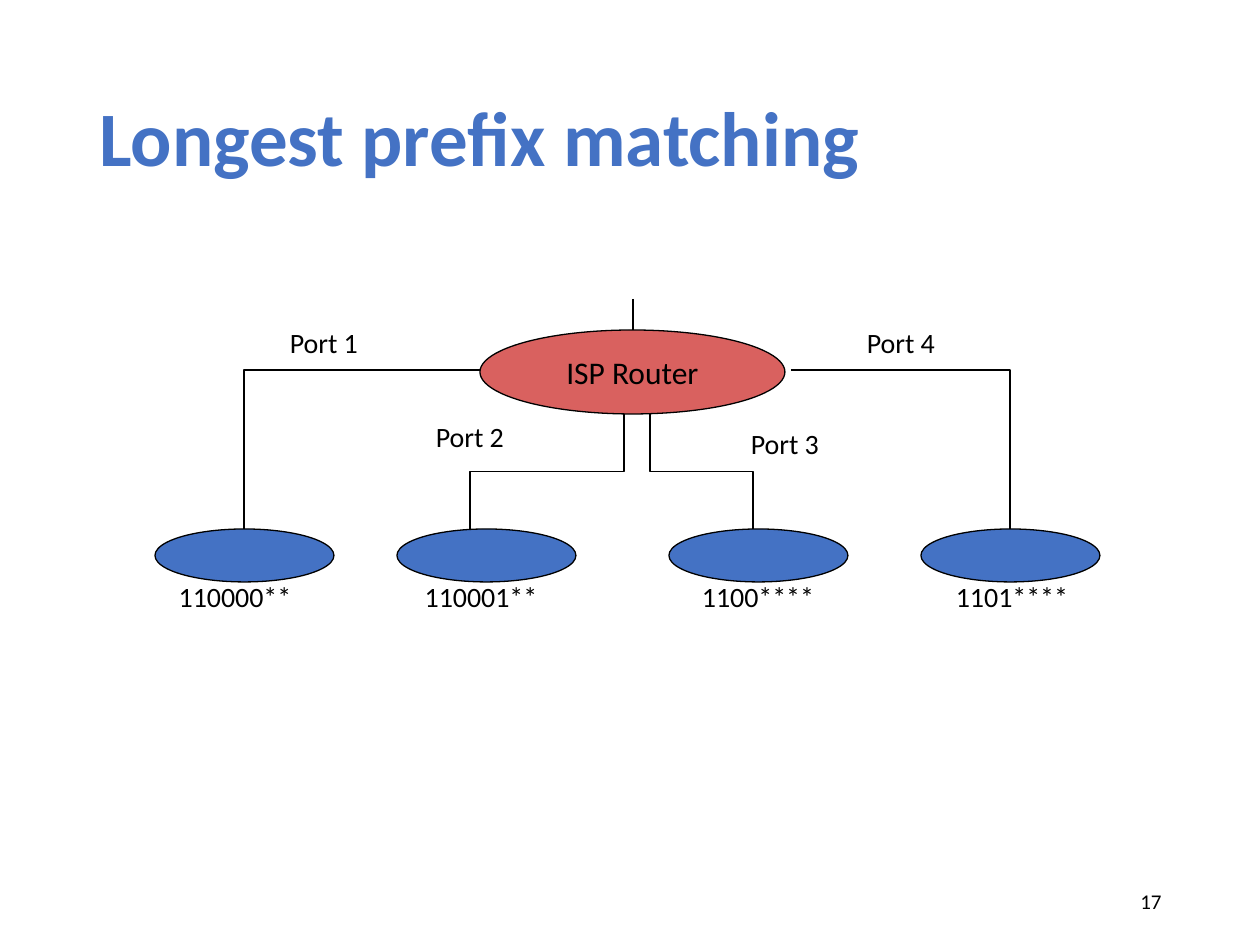
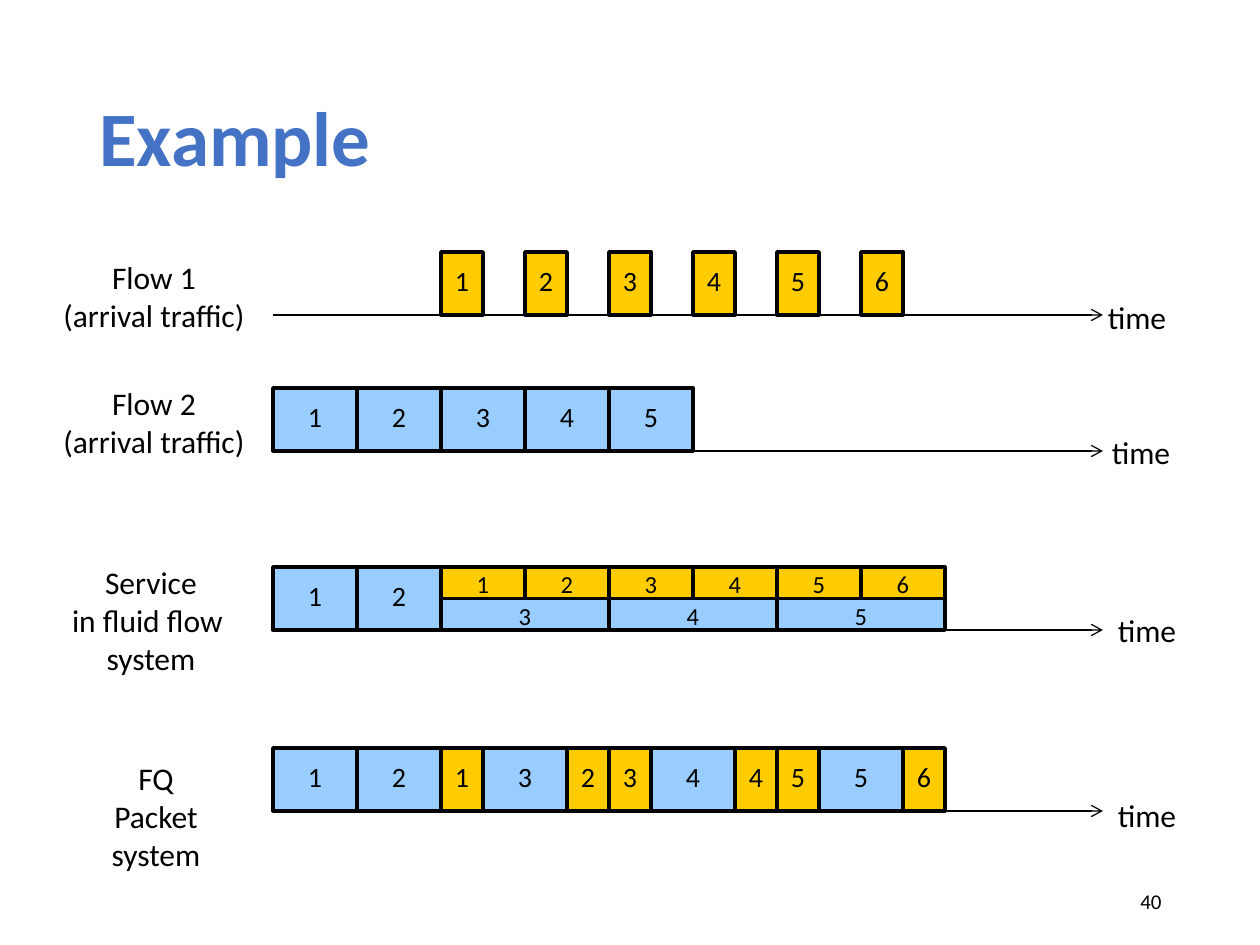
from pptx import Presentation
from pptx.dml.color import RGBColor
from pptx.enum.shapes import MSO_CONNECTOR, MSO_SHAPE
from pptx.enum.text import MSO_ANCHOR, PP_ALIGN
from pptx.oxml.ns import qn
from pptx.util import Pt
from lxml.etree import SubElement

SCALE = 914400 // 126
FONT = "Calibri"
COLORS = {
    "title": "4472C4",
    "ink": "000000",
    "host": "4472C4",
    "router": "D9615F",
    "flow1": "FFCC00",
    "flow2": "99CCFF",
}
SLOT = 42
PACKET_HEIGHT = 63


def px(*lengths):
    return [round(length * SCALE) for length in lengths]


def color(name):
    return RGBColor.from_string(COLORS[name])


def write(slide, text, box, size=16, ink="ink", bold=False, align=PP_ALIGN.CENTER,
          anchor=MSO_ANCHOR.TOP, spacing=None, wrap=True):
    frame = slide.shapes.add_textbox(*px(*box)).text_frame
    frame.word_wrap = wrap
    frame.vertical_anchor = anchor
    frame.text = text
    for paragraph in frame.paragraphs:
        paragraph.alignment = align
        paragraph.line_spacing = spacing
        for run in paragraph.runs:
            run.font.name = FONT
            run.font.size = Pt(size)
            run.font.bold = bold
            run.font.color.rgb = color(ink)


def draw(slide, kind, box, fill, weight):
    outline = slide.shapes.add_shape(kind, *px(*box))
    outline.shadow.inherit = False
    outline.fill.solid()
    outline.fill.fore_color.rgb = color(fill)
    outline.line.color.rgb = color("ink")
    outline.line.width = Pt(weight)


def connect(slide, start, end, kind=MSO_CONNECTOR.STRAIGHT, arrow=False):
    link = slide.shapes.add_connector(kind, *px(*start, *end))
    link.line.color.rgb = color("ink")
    link.line.width = Pt(0.75)
    properties = link._element.spPr
    if arrow:
        SubElement(properties.find(qn("a:ln")), qn("a:tailEnd"), type="arrow")
    SubElement(properties, qn("a:effectLst"))
    return properties


def side_link(slide, start, end):
    properties = connect(slide, start, end, MSO_CONNECTOR.ELBOW)
    properties.find(qn("a:prstGeom")).set("prst", "bentConnector2")


def down_link(slide, start, end):
    (x1, y1), (x2, y2) = start, end
    middle_x, middle_y = (x1 + x2) / 2, (y1 + y2) / 2
    half_run, half_drop = abs(x2 - x1) / 2, (y2 - y1) / 2
    rightward = x2 > x1
    if rightward:
        half_drop = -half_drop
    properties = connect(slide, (middle_x - half_drop, middle_y - half_run),
                         (middle_x + half_drop, middle_y + half_run), MSO_CONNECTOR.ELBOW)
    properties.find(qn("a:xfrm")).set("rot", str((270 if rightward else 90) * 60000))


def base_slide(deck, title, number):
    slide = deck.slides.add_slide(deck.slide_layouts[6])
    write(slide, title, (87, 50, 1086, 183), size=44, ink="title", bold=True,
          align=PP_ALIGN.LEFT, anchor=MSO_ANCHOR.MIDDLE, spacing=0.9)
    write(slide, number, (890, 876, 284, 50), size=12, align=PP_ALIGN.RIGHT,
          anchor=MSO_ANCHOR.MIDDLE)
    return slide


def router_tree(slide, left, top):
    hosts = [
        ("110000**", 29, 0),
        ("110001**", 271, 246),
        ("1100****", 543, 523),
        ("1101****", 795, 777),
    ]
    for prefix, host_x, prefix_x in hosts:
        draw(slide, MSO_SHAPE.OVAL, (left + host_x, top + 230, 179, 53), "host", 0.75)
        write(slide, prefix, (left + prefix_x, top + 274, 218, 47))

    links = [
        (side_link, (362, 71), 118),
        (down_link, (498, 115), 344),
        (down_link, (524, 115), 627),
        (side_link, (665, 71), 884),
    ]
    for link, (x, y), host_x in links:
        link(slide, (left + x, top + y), (left + host_x, top + 230))

    router = (left + 354, top + 31, 305, 84)
    draw(slide, MSO_SHAPE.OVAL, router, "router", 0.75)
    write(slide, "ISP Router", router, size=18, anchor=MSO_ANCHOR.MIDDLE)
    connect(slide, (left + 507, top), (left + 507, top + 31))

    ports = [(140, 20), (286, 114), (601, 121), (717, 20)]
    for port, (x, y) in enumerate(ports, 1):
        write(slide, f"Port {port}", (left + x, top + y, 116, 47))


def packets(slide, left, top, flow, slots, length, first=1, lane=None):
    thin = lane is not None
    height = PACKET_HEIGHT / 2 if thin else PACKET_HEIGHT
    y = top + (lane or 0) * height
    for number, slot in enumerate(slots, first):
        x, width = left + slot * SLOT, length * SLOT
        draw(slide, MSO_SHAPE.RECTANGLE, (x, y, width, height), flow, 2)
        write(slide, str(number), (x + width / 2 - 20, y - 4 if thin else y + 5, 40, 47),
              size=14 if thin else 16, wrap=False)


def timeline(slide, left, top, label, label_center, label_y, time_x, time_y, runs):
    baseline = top + PACKET_HEIGHT
    connect(slide, (left, baseline), (left + 830, baseline), arrow=True)
    for run in runs:
        packets(slide, left, top, **run)
    write(slide, label, (label_center - 120, top + label_y, 240, 97), size=18, wrap=False)
    write(slide, "time", (left + time_x, top + time_y, 92, 54), size=18, wrap=False)


def schedule(slide, left, top):
    opening = dict(flow="flow2", slots=(0, 2), length=2)
    rows = [
        (0, "Flow 1\n(arrival traffic)", 154, 0, 818, 40, [
            dict(flow="flow1", slots=range(4, 15, 2), length=1)]),
        (136, "Flow 2\n(arrival traffic)", 154, -10, 822, 39, [
            dict(flow="flow2", slots=range(0, 10, 2), length=2)]),
        (315, "Service\nin fluid flow \nsystem", 151, -10, 828, 38, [
            opening,
            dict(flow="flow1", slots=range(4, 15, 2), length=2, lane=0),
            dict(flow="flow2", slots=range(4, 13, 4), length=4, first=3, lane=1)]),
        (496, "FQ\vPacket\nsystem", 156, 5, 828, 42, [
            opening,
            dict(flow="flow1", slots=(4, 7, 8, 11, 12, 15), length=1),
            dict(flow="flow2", slots=(5, 9, 13), length=2, first=3)]),
    ]
    for offset, *row in rows:
        timeline(slide, left, top + offset, *row)


deck = Presentation()
deck.slide_width, deck.slide_height = px(1260, 945)
router_tree(base_slide(deck, "Longest prefix matching", "17"), 126, 299)
schedule(base_slide(deck, "Example", "40"), 273, 252)
deck.save("out.pptx")
